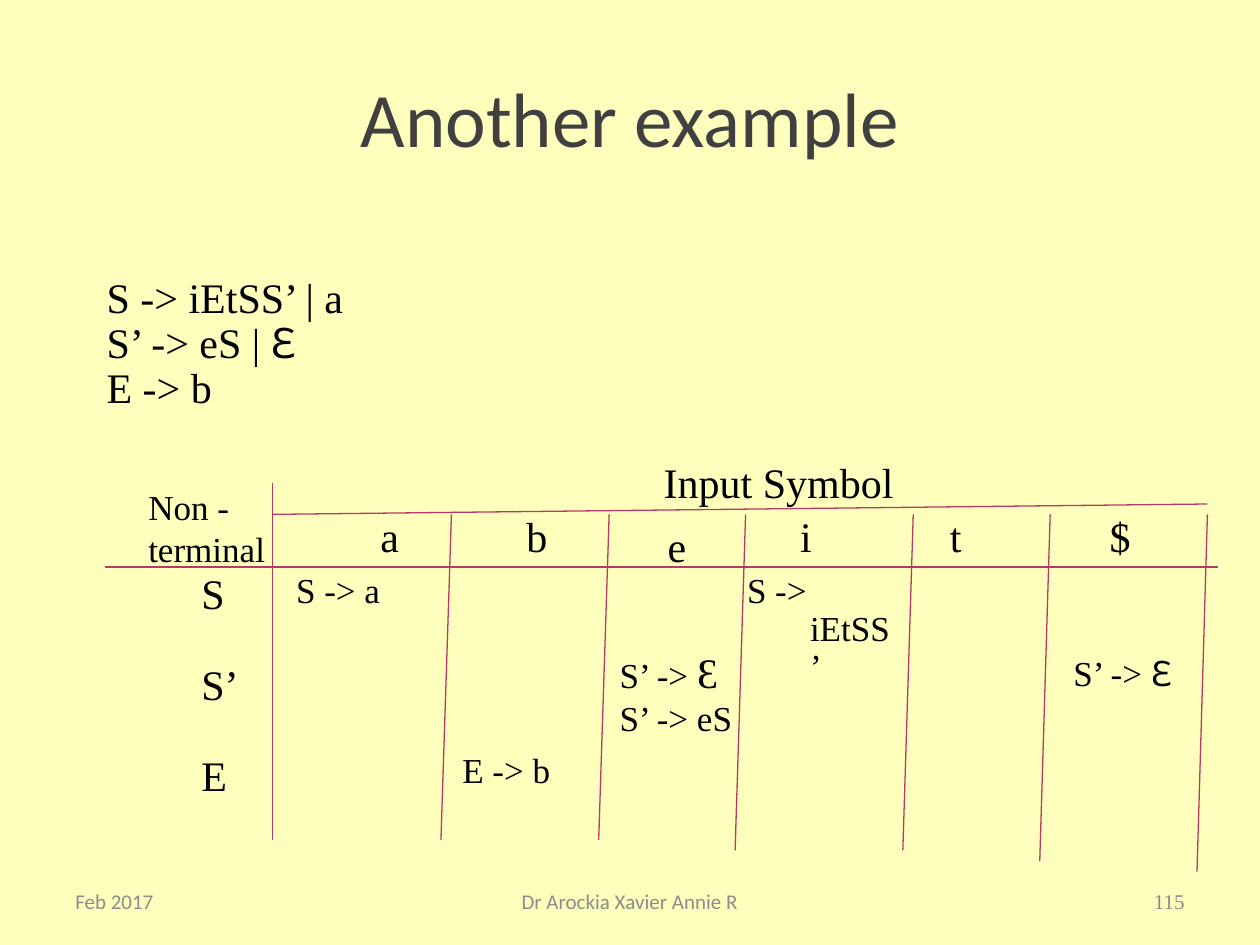
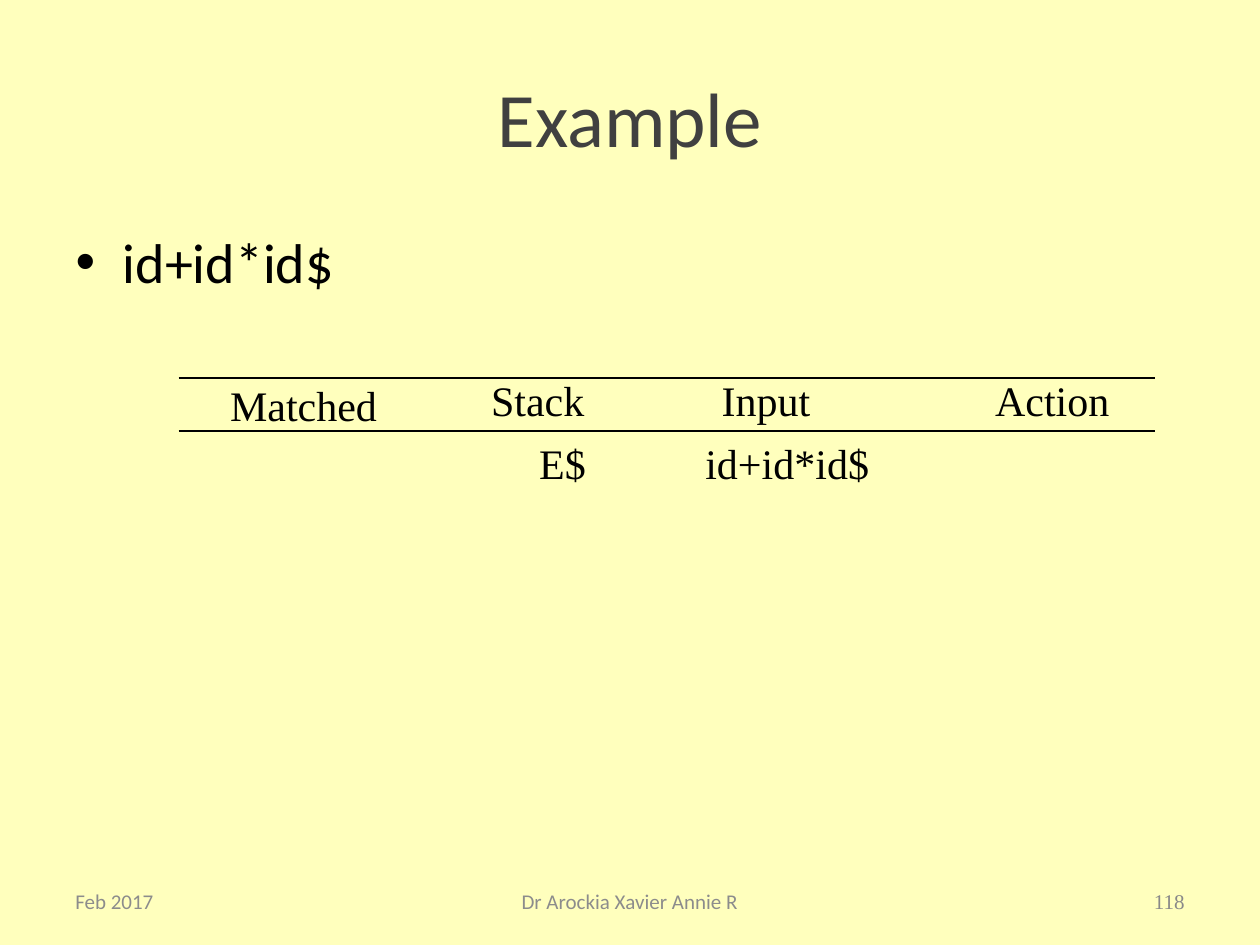
import pptx
import pptx.util
import pptx.dml.color
import pptx.enum.shapes
import pptx.enum.text
from lxml import etree

Cm, Pt = pptx.util.Cm, pptx.util.Pt
ALIGN = pptx.enum.text.PP_ALIGN
ANCHOR = pptx.enum.text.MSO_ANCHOR

PAPER, TITLE, INK, RULE = "FFFFBD", "404040", "000000", "B73965"
FOOTER, NUMBER = "8C8C8C", "898989"
SERIF, SANS, SYMBOL = "Times New Roman", "Calibri", "Noto Sans CJK JP"
EPSILON = "Ɛ"


def rgb(value):
    return pptx.dml.color.RGBColor.from_string(value)


def add_text(s, box, lines, font=SERIF, size=24, colour=INK, hanging=False,
             wrap=False, grow=True, epsilon=None, para=None):
    """Text box with one paragraph per line; epsilon gets its own font."""
    tf = s.shapes.add_textbox(*[Cm(v) for v in box]).text_frame
    sizing = pptx.enum.text.MSO_AUTO_SIZE
    tf.auto_size = sizing.SHAPE_TO_FIT_TEXT if grow else sizing.NONE
    tf.word_wrap = wrap
    tf.vertical_anchor = ANCHOR.TOP if grow else ANCHOR.MIDDLE
    for i, line in enumerate(lines):
        p = tf.paragraphs[0] if i == 0 else tf.add_paragraph()
        for key, value in (para or {}).items():
            setattr(p, key, value)
        if hanging:
            p.line_spacing = 0.9
            pPr = p._p.get_or_add_pPr()
            pPr.set("marL", str(Cm(1.27)))
            pPr.set("indent", str(-Cm(1.27)))
        before, symbol, after = line.partition(EPSILON)
        for part in filter(None, (before, symbol, after)):
            style = {"name": font, "size": Pt(size)}
            if part == EPSILON:
                style.update(epsilon or {"name": SYMBOL})
            r = p.add_run()
            r.text = part
            r.font.color.rgb = rgb(colour)
            for key, value in style.items():
                setattr(r.font, key, value)


prs = pptx.Presentation()
prs.slide_width, prs.slide_height = Cm(25.4), Cm(19.05)
background = prs.slide_master.background.fill
background.solid()
background.fore_color.rgb = rgb(PAPER)

# Titles and footers of both slides
slides = []
for layout, title, number in [(5, "Another example", "115"), (1, "Example", "118")]:
    s = prs.slides.add_slide(prs.slide_layouts[layout])
    slides.append(s)
    sp = s.shapes.title
    sp.left, sp.top, sp.width, sp.height = Cm(1.27), Cm(0.76), Cm(22.86), Cm(3.18)
    sp.text_frame.text = title
    sp.text_frame.vertical_anchor = ANCHOR.MIDDLE
    p = sp.text_frame.paragraphs[0]
    p.alignment = ALIGN.CENTER
    r = p.runs[0]
    r.font.color.rgb = rgb(TITLE)
    for key, value in {"name": SANS, "size": Pt(44)}.items():
        setattr(r.font, key, value)

    for left, width, text, font, colour, align in [
            (1.27, 5.92, "Feb 2017", SANS, FOOTER, ALIGN.LEFT),
            (8.67, 8.05, "Dr Arockia Xavier Annie R", SANS, FOOTER, ALIGN.CENTER),
            (18.21, 5.92, number, SERIF, NUMBER, ALIGN.RIGHT)]:
        add_text(s, (left, 17.65, width, 1.02), [text], font, 12, colour,
                 wrap=True, grow=False, para={"alignment": align})
parsing, trace = slides

# Slide 1: grammar
add_text(parsing, (1.9, 5.46, 6.55, 3),
         ["S -> iEtSS’ | a", "S’ -> eS | Ɛ", "E -> b"], hanging=True, wrap=True)

# Slide 1: headings of the parsing table
add_text(parsing, (2.74, 9.67, 3.18, 1.96), ["Non -", "terminal"], size=20, wrap=True)
add_text(parsing, (3.81, 11.43, 1.7, 4.83), ["S", "S’", "E"], hanging=True,
         wrap=True, para={"space_before": Pt(26)})
add_text(parsing, (13.13, 9.08, 5.6, 1.27), ["Input Symbol"], wrap=True)
for left, top, width, symbol in [
        (7.42, 10.16, 0.89, "a"), (10.36, 10.16, 0.94, "b"),
        (13.21, 10.36, 0.89, "e"), (15.88, 10.16, 0.74, "i"),
        (18.9, 10.16, 0.74, "t"), (22.12, 10.16, 0.94, "$")]:
    add_text(parsing, (left, top, width, 1.27), [symbol])

# Slide 1: productions in the table; the long one breaks inside its column
for left, top, width, production, wrap in [
        (5.72, 11.43, 2.21, "S -> a", False),
        (14.81, 11.43, 3.5, "S -> iEtSS’", True),
        (21.39, 13.11, 2.54, "S’ -> Ɛ", False),
        (9.07, 15.06, 2.29, "E -> b", False)]:
    add_text(parsing, (left, top, width, 1.02), [production], size=20,
             hanging=True, wrap=wrap)
add_text(parsing, (12.24, 12.9, 3, 2.11), ["S’ -> Ɛ", "S’ -> eS "], size=20,
         epsilon={"size": Pt(24)})

# Slide 2: input string
sp = trace.placeholders[1]
sp.left, sp.top, sp.width, sp.height = Cm(1.27), Cm(4.45), Cm(22.86), Cm(12.57)
sp.text_frame.text = "id+id*id$"
r = sp.text_frame.paragraphs[0].runs[0]
r.font.color.rgb = rgb(INK)
for key, value in {"name": SANS, "size": Pt(32)}.items():
    setattr(r.font, key, value)

# Slide 2: trace headings and first step
for left, top, width, text in [
        (4.39, 7.52, 3.48, "Matched"), (9.65, 7.42, 2.39, "Stack"),
        (14.3, 7.42, 2.29, "Input"), (19.81, 7.42, 2.82, "Action"),
        (10.62, 8.69, 1.45, "E$"), (13.97, 8.69, 3.81, "id+id*id$")]:
    add_text(trace, (left, top, width, 1.27), [text])

# Rules of both tables; the column rules lean to the left
rules = [(parsing, RULE, 2.12, 11.43, 24.55, 11.43),
         (parsing, RULE, 5.5, 9.74, 5.5, 16.93),
         (parsing, RULE, 5.5, 10.37, 24.34, 10.16)]
for x, bottom in [(9.1, 16.93), (12.28, 16.93), (15.03, 17.14),
                  (18.41, 17.14), (21.17, 17.36), (24.34, 17.57)]:
    rules.append((parsing, RULE, x, 10.37, x - 0.21, bottom))
for y in (7.62, 8.69):
    rules.append((trace, INK, 3.6, y, 23.28, y))
for s, colour, *ends in rules:
    line = s.shapes.add_connector(pptx.enum.shapes.MSO_CONNECTOR.STRAIGHT,
                                  *[Cm(v) for v in ends])
    line.line.color.rgb = rgb(colour)
    line.line.width = Pt(0.75)
    etree.SubElement(line._element.spPr, pptx.oxml.ns.qn("a:effectLst"))

prs.save("out.pptx")
